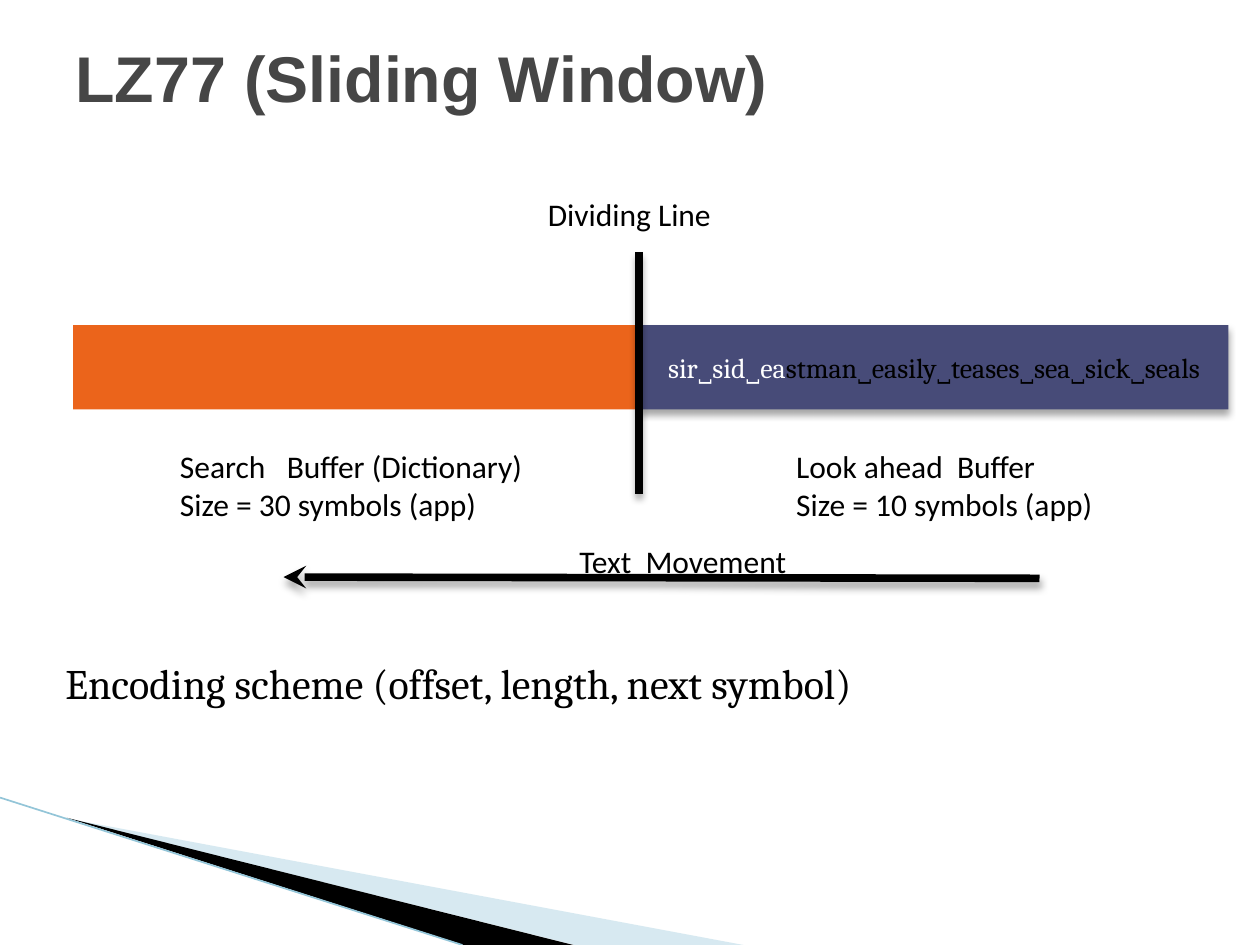
from lxml import etree
from pptx import Presentation
from pptx.dml.color import RGBColor
from pptx.enum.shapes import MSO_CONNECTOR, MSO_SHAPE
from pptx.enum.text import MSO_ANCHOR, PP_ALIGN
from pptx.oxml.ns import qn
from pptx.util import Inches, Pt

RECTANGLE = MSO_SHAPE.RECTANGLE
STRAIGHT = MSO_CONNECTOR.STRAIGHT
MIDDLE = MSO_ANCHOR.MIDDLE
LEFT, CENTER = PP_ALIGN.LEFT, PP_ALIGN.CENTER

THEME = {
    "ink": "000000", "title": "464646", "light": "FFFFFF",
    "search": "EB641B", "look_ahead": "474B78",
    "swoosh": "9CCADC", "edge": "93C5D8",
    "title_font": "Arial", "label_font": "Calibri", "body_font": "Cambria",
    "title_size": 36.9, "label_size": 18, "stream_size": 16, "body_size": 24,
    "rule": 4.33, "edge_width": 0.95,
}

# Content
TITLE = "LZ77 (Sliding Window)"
STREAM = [("sir˽sid˽ea", "light"), ("stman˽easily˽teases˽sea˽sick˽seals", "ink")]
LABELS = [  # lines, left, top, width, height
    (["Search   Buffer (Dictionary)", "Size = 30 symbols (app)"], 1.33, 3.5, 2.95, 0.71),
    (["Look ahead  Buffer", "Size = 10 symbols (app)"], 6.22, 3.5, 2.58, 0.71),
    (["Dividing Line"], 4.25, 1.5, 1.51, 0.4),
    (["Text  Movement"], 4.5, 4.25, 1.86, 0.4),
]
SCHEME = "Encoding scheme (offset, length, next symbol)"

# Window geometry
WINDOW_LEFT, DIVIDER, WINDOW_RIGHT = 0.58, 5.08, 9.75
WINDOW_TOP, WINDOW_HEIGHT = 2.58, 0.67
SWOOSHES = [  # points, colour, opacity in percent
    ([(0.55, 6.5), (5.9, 7.5), (4.56, 7.5)], "swoosh", 40),
    ([(0.53, 6.49), (4.55, 7.5), (3.68, 7.5)], "ink", 100),
]


def color(name):
    return RGBColor.from_string(THEME[name])


def style(span, role, color_name):
    span.font.name = THEME[role + "_font"]
    span.font.size = Pt(THEME[role + "_size"])
    span.font.color.rgb = color(color_name)


def add_shadow(shape):
    effects = shape._element.spPr.get_or_add_effectLst() if hasattr(
        shape._element.spPr, "get_or_add_effectLst") else etree.SubElement(
        shape._element.spPr, qn("a:effectLst"))
    shadow = etree.SubElement(effects, qn("a:outerShdw"), blurRad=str(Pt(4)),
                              dist=str(Pt(3)), dir="5400000", rotWithShape="0")
    tint = etree.SubElement(shadow, qn("a:srgbClr"), val=THEME["ink"])
    etree.SubElement(tint, qn("a:alpha"), val="35000")


def fill_shape(shape, color_name):
    shape.shadow.inherit = False
    shape.fill.solid()
    shape.fill.fore_color.rgb = color(color_name)
    shape.line.fill.background()


def add_line(slide, start, end, color_name, width, shadow=True):
    line = slide.shapes.add_connector(STRAIGHT, *map(Inches, start + end))
    line.line.color.rgb = color(color_name)
    line.line.width = Pt(width)
    if shadow:
        add_shadow(line)
    else:
        etree.SubElement(line._element.spPr, qn("a:effectLst"))
    return line


def add_text(slide, lines, place, role):
    frame = slide.shapes.add_textbox(*map(Inches, place)).text_frame
    frame.word_wrap = True
    frame.text = "\n".join(lines)
    for para in frame.paragraphs:
        style(para.runs[0], role, "ink")


def add_buffer(slide, left, right, color_name):
    box = slide.shapes.add_shape(RECTANGLE, *map(
        Inches, (left, WINDOW_TOP, right - left, WINDOW_HEIGHT)))
    fill_shape(box, color_name)
    return box


def main():
    deck = Presentation()
    deck.slide_width, deck.slide_height = Inches(10), Inches(7.5)
    slide = deck.slides.add_slide(deck.slide_layouts[5])

    # Corner decoration
    for points, color_name, opacity in SWOOSHES:
        corners = [(Inches(x), Inches(y)) for x, y in points]
        builder = slide.shapes.build_freeform(*corners[0])
        builder.add_line_segments(corners[1:], close=True)
        swoosh = builder.convert_to_shape()
        fill_shape(swoosh, color_name)
        if opacity < 100:
            tint = swoosh._element.spPr.find(qn("a:solidFill"))[0]
            etree.SubElement(tint, qn("a:alpha"), val=str(opacity * 1000))
    add_line(slide, (0, 6.33), (3.67, 7.5), "edge", THEME["edge_width"], shadow=False)

    # Title
    title = slide.shapes.title
    title.left, title.top, title.width, title.height = map(Inches, (0.5, 0.3, 9, 0.62))
    title.text_frame.text = TITLE
    title.text_frame.vertical_anchor = MIDDLE
    para = title.text_frame.paragraphs[0]
    para.alignment = LEFT
    style(para.runs[0], "title", "title")
    para.runs[0].font.bold = True

    # Search and look-ahead buffers
    add_buffer(slide, WINDOW_LEFT, DIVIDER, "search")
    look_ahead = add_buffer(slide, DIVIDER, WINDOW_RIGHT, "look_ahead")
    add_shadow(look_ahead)
    frame = look_ahead.text_frame
    frame.word_wrap = True
    frame.vertical_anchor = MIDDLE
    para = frame.paragraphs[0]
    para.alignment = CENTER
    for text, color_name in STREAM:
        span = para.add_run()
        span.text = text
        style(span, "body", color_name)
        span.font.size = Pt(THEME["stream_size"])

    # Dividing line and movement arrow
    add_line(slide, (5.07, 2), (5.07, 3.92), "ink", THEME["rule"])
    arrow = add_line(slide, (8.25, 4.59), (2.25, 4.58), "ink", THEME["rule"])
    etree.SubElement(arrow.line._get_or_add_ln(), qn("a:tailEnd"), type="stealth")

    # Labels and encoding scheme
    for lines, *place in LABELS:
        add_text(slide, lines, place, "label")
    add_text(slide, [SCHEME], (0.42, 5.17, 9.08, 0.51), "body")

    deck.save("out.pptx")


if __name__ == "__main__":
    main()
